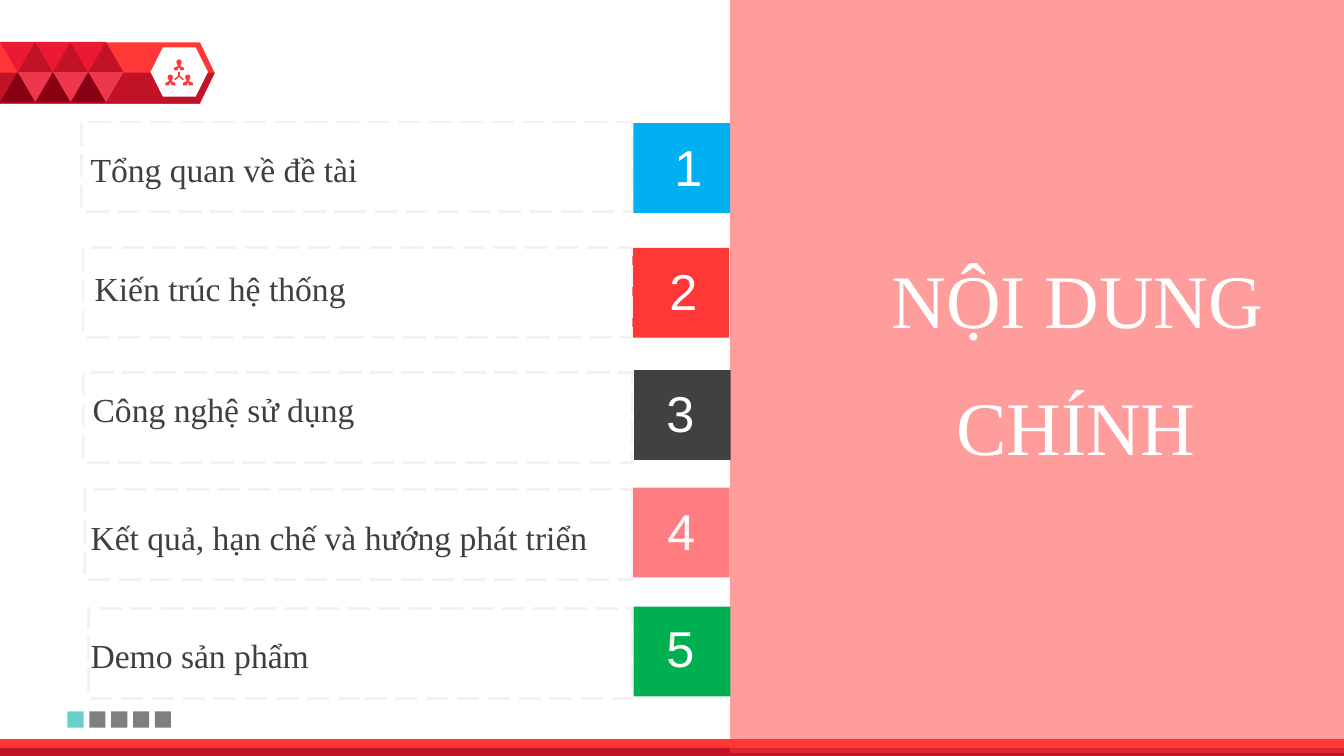
from lxml import etree
from pptx import Presentation
from pptx.dml.color import RGBColor
from pptx.enum.dml import MSO_LINE
from pptx.enum.shapes import MSO_CONNECTOR, MSO_SHAPE as Kind
from pptx.enum.text import MSO_AUTO_SIZE, PP_ALIGN as Align
from pptx.oxml.ns import qn
from pptx.util import Inches, Pt

THEME = {
    "red": "FF3737", "dark_red": "C21227", "bright_red": "EB1932",
    "rose": "ED374D", "maroon": "880014", "white": "FFFFFF",
    "frame": "F2F2F2", "label": "3F3F3F", "teal": "68D0C6", "grey": "7F7F7F",
    "sky": "00B0F0", "charcoal": "414141", "pink": "FF7C80", "green": "00B050",
    "serif": "Times New Roman", "sans": "Arial",
    "title_size": 54, "number_size": 36, "label_size": 24,
}

deck = Presentation()
deck.slide_width, deck.slide_height = Inches(13.33), Inches(7.5)
page = deck.slides.add_slide(deck.slide_layouts[6])
shapes = page.shapes

# The page is a grid of square cells, 40 columns wide
COLUMNS = 40
CELL = deck.slide_width / COLUMNS
ROWS = deck.slide_height / CELL


def cells(*lengths):
    return [round(length * CELL) for length in lengths]


def paint(shape, color):
    shape.shadow.inherit = False
    shape.fill.solid()
    shape.fill.fore_color.rgb = RGBColor.from_string(THEME[color])
    shape.line.fill.background()
    return shape


# Ribbon with its darker lower half
ribbon = shapes.add_shape(Kind.PENTAGON, *cells(0, 1.26, 6.39, 1.83))
ribbon.adjustments[0] = 0.24
paint(ribbon, "red")
lower_half = shapes.build_freeform(*cells(0, 2.16))
lower_half.add_line_segments([cells(6.39, 2.16), cells(5.94, 3.08), cells(0, 3.08)])
paint(lower_half.convert_to_shape(), "dark_red")

# Triangle pattern: (left, top, rotation, color), repeated three times
TRIANGLE_WIDTH, TRIANGLE_HEIGHT = 1.05, 0.9
HALF = TRIANGLE_WIDTH / 2
for column in range(3):
    for left, top, turn, color in [(0, 1.25, 180, "bright_red"), (HALF, 1.25, 0, "dark_red"),
                                   (HALF, 2.15, 180, "rose"), (0, 2.15, 0, "maroon")]:
        triangle = shapes.add_shape(Kind.ISOSCELES_TRIANGLE, *cells(
            left + column * TRIANGLE_WIDTH, top, TRIANGLE_WIDTH, TRIANGLE_HEIGHT))
        triangle.rotation = turn
        paint(triangle, color)

# Team icon: three people joined by spokes on a white hexagon
badge = shapes.add_shape(Kind.HEXAGON, *cells(4.48, 1.41, 1.71, 1.47))
badge.adjustments[0] = 0.25
paint(badge, "white")
right_side = [(0, 0), (0.06, 0.02), (0.08, 0.09), (0.04, 0.17), (0.04, 0.2),
              (0.15, 0.25), (0.15, 0.32), (0.04, 0.32), (0, 0.22)]
person_outline = right_side + [(-x, y) for x, y in right_side[-2:0:-1]]
for center, top in [(5.33, 1.77), (5.07, 2.22), (5.59, 2.22)]:
    points = [cells(center + x, top + y) for x, y in person_outline]
    person = shapes.build_freeform(*points[0])
    person.add_line_segments(points[1:])
    paint(person.convert_to_shape(), "red")
for tip in [(5.33, 2.13), (5.2, 2.37), (5.46, 2.37)]:
    spoke = shapes.add_connector(MSO_CONNECTOR.STRAIGHT, *cells(5.33, 2.26, *tip))
    spoke.line.color.rgb = RGBColor.from_string(THEME["red"])
    spoke.line.width = Pt(1)
    etree.SubElement(spoke._element.spPr, qn("a:effectLst"))

# Footer bars
for height, color in [(0.5, "red"), (0.24, "dark_red")]:
    paint(shapes.add_shape(Kind.RECTANGLE, *cells(0, ROWS - height, COLUMNS, height)), color)

# Translucent title panel
panel = shapes.add_shape(Kind.RECTANGLE, *cells(21.72, -0.09, COLUMNS - 21.72, ROWS))
paint(panel, "red")
tint = panel._element.spPr.find(qn("a:solidFill"))[0]
etree.SubElement(tint, qn("a:alpha")).set("val", "49000")

# Page dots
for index in range(5):
    dot = shapes.add_shape(Kind.RECTANGLE, *cells(2.01 + index * 0.65, 21.18, 0.48, 0.48))
    paint(dot, "grey" if index else "teal")

# Agenda: label, its corner, frame corner, tab color and corner, number corner
AGENDA = [
    ("Tổng quan về đề tài", (2.4, 4.29), (2.42, 3.63), "sky", (18.85, 3.67), (19.44, 3.9)),
    ("Kiến trúc hệ thống", (2.52, 7.83), (2.47, 7.38), "red", (18.82, 7.38), (19.29, 7.59)),
    ("Công nghệ sử dụng", (2.46, 11.43), (2.48, 11.1), "charcoal", (18.87, 11.02), (19.2, 11.22)),
    ("Kết quả, hạn chế và hướng phát triển", (2.4, 15.24), (2.52, 14.58), "pink",
     (18.84, 14.52), (19.23, 14.73)),
    ("Demo sản phẩm", (2.4, 18.75), (2.64, 18.12), "green", (18.86, 18.06), (19.2, 18.21)),
]
FRAME_RIGHT, ITEM_HEIGHT, TAB_WIDTH = 18.81, 2.67, 2.88
words = [
    ("NỘI DUNG", (17.88, 7.38, 20.01, 3.03), Align.RIGHT, "serif", "title_size", "white"),
    ("CHÍNH", (15.18, 11.16, 20.7, 3.03), Align.RIGHT, "serif", "title_size", "white"),
]
for number, (label, label_at, frame_at, color, tab_at, number_at) in enumerate(AGENDA, 1):
    paint(shapes.add_shape(Kind.RECTANGLE, *cells(*tab_at, TAB_WIDTH, ITEM_HEIGHT)), color)
    frame = shapes.add_shape(Kind.RECTANGLE, *cells(
        *frame_at, FRAME_RIGHT - frame_at[0], ITEM_HEIGHT))
    frame.shadow.inherit = False
    frame.fill.background()
    frame.line.color.rgb = RGBColor.from_string(THEME["frame"])
    frame.line.width = Pt(2)
    frame.line.dash_style = MSO_LINE.LONG_DASH
    words += [
        (str(number), (*number_at, 2.1, 2.13), Align.CENTER, "sans", "number_size", "white"),
        (label, (*label_at, 16, 1.5), Align.LEFT, "serif", "label_size", "label"),
    ]

# All text
for text, place, align, face, size, color in words:
    box = shapes.add_textbox(*cells(*place))
    box.text_frame.word_wrap = True
    box.text_frame.auto_size = MSO_AUTO_SIZE.SHAPE_TO_FIT_TEXT
    para = box.text_frame.paragraphs[0]
    para.text = text
    para.alignment = align
    para.font.name = THEME[face]
    para.font.size = Pt(THEME[size])
    para.font.color.rgb = RGBColor.from_string(THEME[color])

deck.save("out.pptx")
